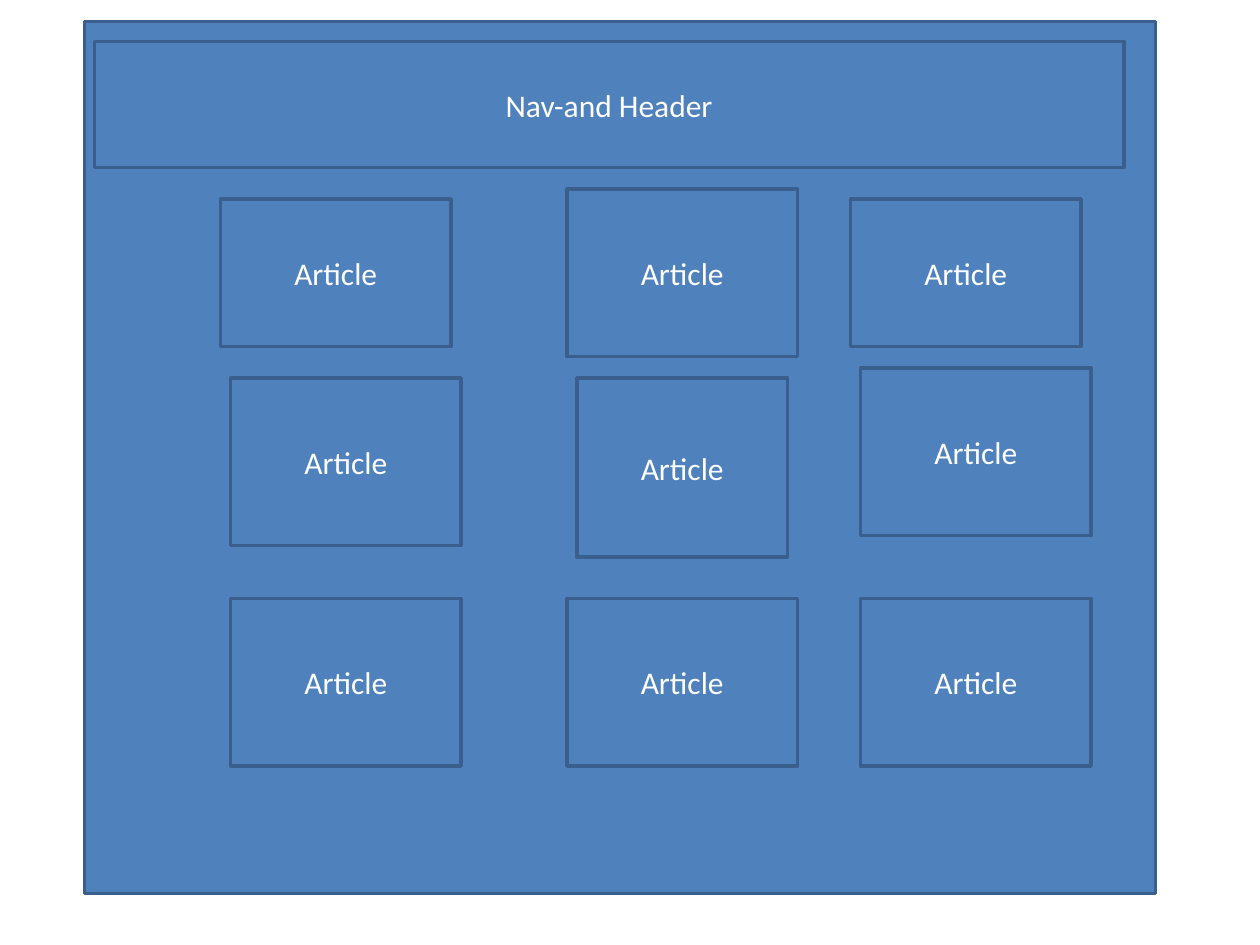
from pptx import Presentation
from pptx.dml.color import RGBColor
from pptx.enum.shapes import MSO_SHAPE as Shape
from pptx.enum.text import MSO_ANCHOR as Anchor, PP_ALIGN as Align
from pptx.util import Inches, Pt

FILL, BORDER, TEXT = "4F81BD", "3A5F8C", "FFFFFF"

# Article boxes relative to the page frame: left, top, width, height
ARTICLES = [
    (1.08, 1.41, 1.83, 1.17), (3.83, 1.33, 1.83, 1.33), (6.08, 1.41, 1.83, 1.17),
    (1.16, 2.83, 1.83, 1.33), (3.91, 2.83, 1.67, 1.42), (6.16, 2.75, 1.83, 1.33),
    (1.16, 4.58, 1.83, 1.33), (3.83, 4.58, 1.83, 1.33), (6.16, 4.58, 1.83, 1.33),
]


def color(hex_string):
    return RGBColor.from_string(hex_string)


def add_box(slide, left, top, width, height, label=None):
    shape = slide.shapes.add_shape(
        Shape.RECTANGLE, Inches(left), Inches(top), Inches(width), Inches(height))
    shape.shadow.inherit = False
    shape.fill.solid()
    shape.fill.fore_color.rgb = color(FILL)
    shape.line.color.rgb = color(BORDER)
    shape.line.width = Pt(2)
    if label:
        shape.text_frame.vertical_anchor = Anchor.MIDDLE
        paragraph = shape.text_frame.paragraphs[0]
        paragraph.text = label
        paragraph.alignment = Align.CENTER
        paragraph.font.name = "Calibri"
        paragraph.font.size = Pt(18)
        paragraph.font.color.rgb = color(TEXT)


def add_header(slide, left, top):
    add_box(slide, left + 0.08, top + 0.16, 8.17, 1, "Nav-and Header")


def add_articles(slide, left, top):
    for x, y, width, height in ARTICLES:
        add_box(slide, left + x, top + y, width, height, "Article")


def add_wireframe(slide, left, top, width, height):
    # Page frame
    add_box(slide, left, top, width, height)
    # Page contents
    add_articles(slide, left, top)
    add_header(slide, left, top)


presentation = Presentation()
presentation.slide_width, presentation.slide_height = Inches(10), Inches(7.5)
slide = presentation.slides.add_slide(presentation.slide_layouts[6])
add_wireframe(slide, 0.67, 0.17, 8.5, 6.92)
presentation.save("out.pptx")
